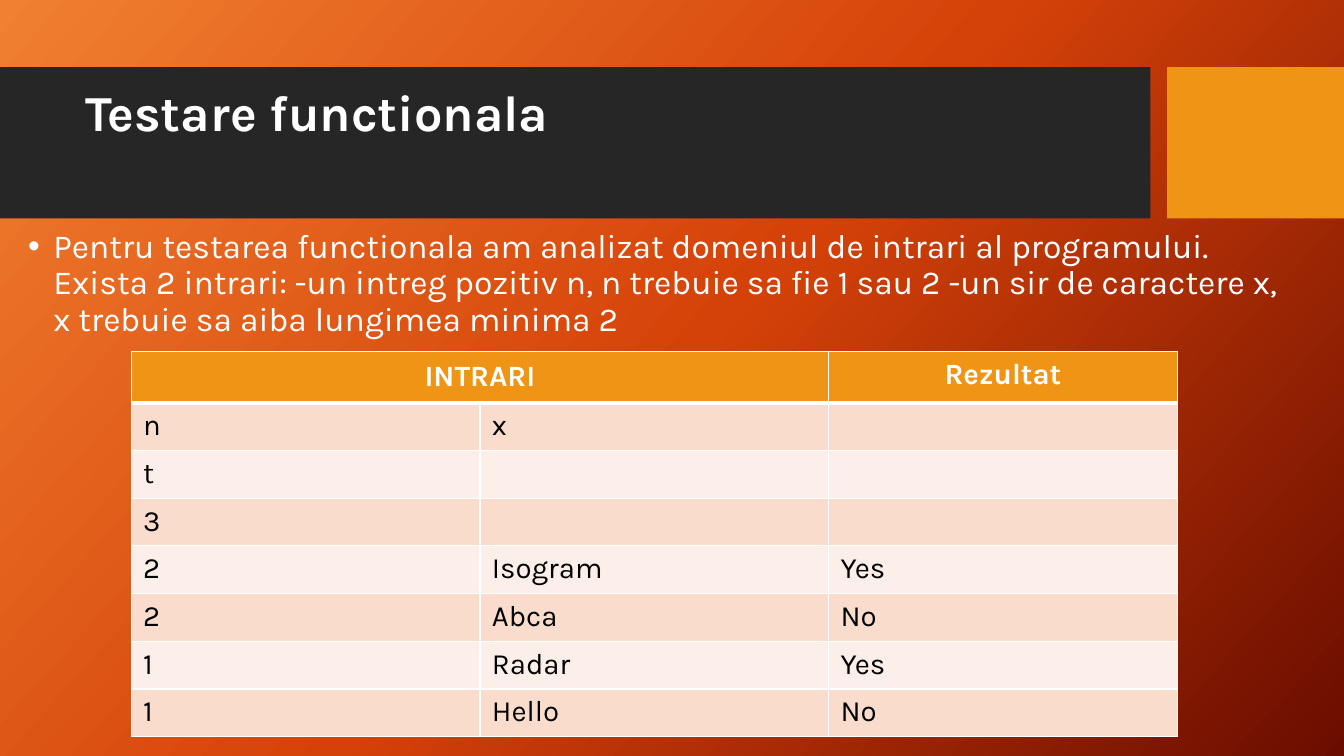
from copy import deepcopy

from lxml import etree
from pptx import Presentation
from pptx.dml.color import RGBColor
from pptx.enum.shapes import MSO_SHAPE
from pptx.enum.text import MSO_ANCHOR, MSO_AUTO_SIZE, PP_ALIGN
from pptx.oxml.ns import qn
from pptx.util import Pt

RECTANGLE = MSO_SHAPE.RECTANGLE
TOP = MSO_ANCHOR.TOP
NO_AUTOFIT = MSO_AUTO_SIZE.NONE
LEFT, CENTER = PP_ALIGN.LEFT, PP_ALIGN.CENTER

FONT = "Karla"
COLORS = {
    "white": "FFFFFF",
    "black": "000000",
    "band": "262626",
    "accent": "F09415",
    "row_dark": "F9DCCC",
    "row_light": "FCEEE8",
}
BACKGROUND_STOPS = [(0, "F18031"), (0.5, "D54209"), (1, "6A0D00")]

INTRO = (
    "Pentru testarea functionala am analizat domeniul de intrari al programului. "
    "Exista 2 intrari: -un intreg pozitiv n, n trebuie sa fie 1 sau 2 "
    "-un sir de caractere x, x trebuie sa aiba lungimea minima 2"
)
HEADER = ["INTRARI", "", "Rezultat"]
TEST_ROWS = [
    ["n", "x", ""],
    ["t", "", ""],
    ["3", "", ""],
    ["2", "Isogram", "Yes"],
    ["2", "Abca", "No"],
    ["1", "Radar", "Yes"],
    ["1", "Hello", "No"],
]


def write(para, text, size, color="white", bold=False, align=LEFT, spacing=None):
    para.alignment = align
    if spacing:
        para.line_spacing = spacing
    span = para.add_run()
    span.text = text
    span.font.name = FONT
    span.font.size = Pt(size)
    span.font.bold = bold
    span.font.color.rgb = RGBColor.from_string(COLORS[color])


def add_bullet(para, indent):
    properties = para._p.get_or_add_pPr()
    properties.set("marL", str(Pt(indent)))
    properties.set("indent", str(-Pt(indent)))
    etree.SubElement(properties, qn("a:buFont")).set("typeface", "Arial")
    etree.SubElement(properties, qn("a:buChar")).set("char", "•")


def set_borders(cell, bottom):
    properties = cell._tc.get_or_add_tcPr()
    for side, width in (("L", 1), ("R", 1), ("T", 1), ("B", bottom)):
        line = etree.SubElement(properties, qn(f"a:ln{side}"), w=str(Pt(width)))
        fill = etree.SubElement(line, qn("a:solidFill"))
        etree.SubElement(fill, qn("a:srgbClr"), val=COLORS["white"])


class SlideBuilder:
    def __init__(self, deck):
        self.page = deck.slides.add_slide(deck.slide_layouts[5])

    def background(self, stops, angle):
        """Fill the page with a gradient; the angle runs clockwise."""
        fill = self.page.background.fill
        fill.gradient()
        fill.gradient_angle = 360 - angle
        stop_list = self.page.element.find(".//" + qn("a:gsLst"))
        while len(stop_list) < len(stops):
            stop_list.append(deepcopy(stop_list[0]))
        for stop, (position, color) in zip(fill.gradient_stops, stops):
            stop.position = position
            stop.color.rgb = RGBColor.from_string(color)

    def bar(self, left, top, width, height, color):
        bar = self.page.shapes.add_shape(
            RECTANGLE, Pt(left), Pt(top), Pt(width), Pt(height))
        bar.shadow.inherit = False
        bar.fill.solid()
        bar.fill.fore_color.rgb = RGBColor.from_string(COLORS[color])
        bar.line.fill.background()

    def title(self, left, top, width, height, text):
        """Format the title placeholder and bring it in front of the bars."""
        title = self.page.shapes.title
        title.left, title.top = Pt(left), Pt(top)
        title.width, title.height = Pt(width), Pt(height)
        frame = title.text_frame
        frame.auto_size = NO_AUTOFIT
        frame.vertical_anchor = TOP
        write(frame.paragraphs[0], text, 36, bold=True, spacing=0.9)
        title.element.getparent().append(title.element)

    def bullet_text(self, left, top, width, height, text):
        box = self.page.shapes.add_textbox(Pt(left), Pt(top), Pt(width), Pt(height))
        box.text_frame.word_wrap = True
        para = box.text_frame.paragraphs[0]
        write(para, text, 24, spacing=0.9)
        para.space_before = Pt(10)
        add_bullet(para, 18)

    def table(self, left, top, column_width, row_height, header, rows):
        row_count, column_count = len(rows) + 1, len(header)
        table = self.page.shapes.add_table(
            row_count, column_count, Pt(left), Pt(top),
            Pt(column_width * column_count), Pt(row_height * row_count)).table
        for column in table.columns:
            column.width = Pt(column_width)
        for row in table.rows:
            row.height = Pt(row_height)
        for row_index, texts in enumerate([header] + rows):
            for column_index, text in enumerate(texts):
                self.cell(table.cell(row_index, column_index), text, row_index)
        inputs = table.cell(0, 0)
        inputs.merge(table.cell(0, 1))
        inputs.margin_left = inputs.margin_right = Pt(11.5)
        inputs.margin_top = inputs.margin_bottom = Pt(5.75)

    def cell(self, cell, text, row_index):
        is_header = row_index == 0
        set_borders(cell, bottom=3 if is_header else 1)
        cell.margin_left = cell.margin_right = Pt(8.6)
        cell.margin_top = cell.margin_bottom = Pt(4.3)
        band = "row_dark" if row_index % 2 else "row_light"
        cell.fill.solid()
        cell.fill.fore_color.rgb = RGBColor.from_string(
            COLORS["accent" if is_header else band])
        if text:
            write(cell.text_frame.paragraphs[0], text, 21,
                  color="white" if is_header else "black",
                  bold=is_header, align=CENTER if is_header else LEFT)


def main():
    deck = Presentation()
    deck.slide_width, deck.slide_height = Pt(960), Pt(540)
    slide = SlideBuilder(deck)
    slide.background(BACKGROUND_STOPS, angle=42)
    slide.bar(0, 48, 821.7, 108, "band")
    slide.bar(833.6, 48, 126.4, 108, "accent")
    slide.title(53.6, 59, 756.5, 85, "Testare functionala")
    slide.bullet_text(13, 160.5, 921, 345, INTRO)
    slide.table(93.7, 251, 249.1, 34.1, HEADER, TEST_ROWS)
    deck.save("out.pptx")


if __name__ == "__main__":
    main()
